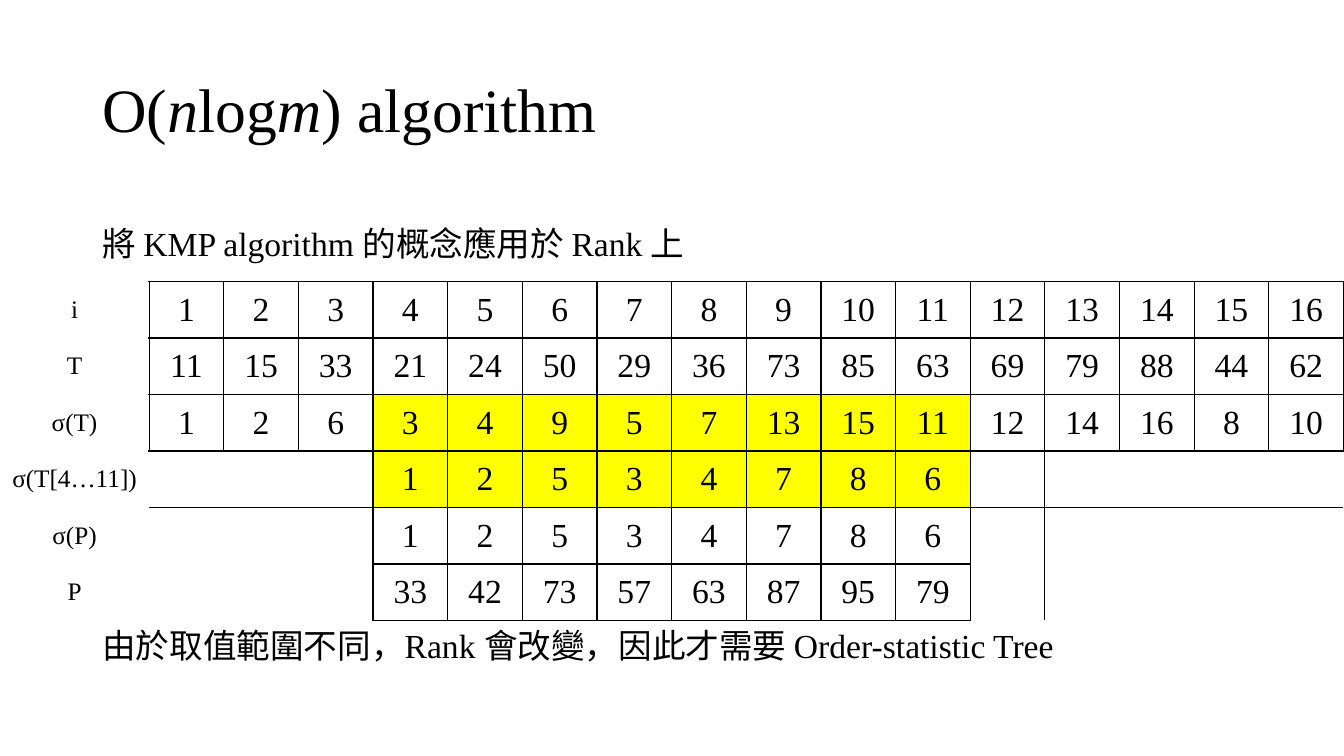
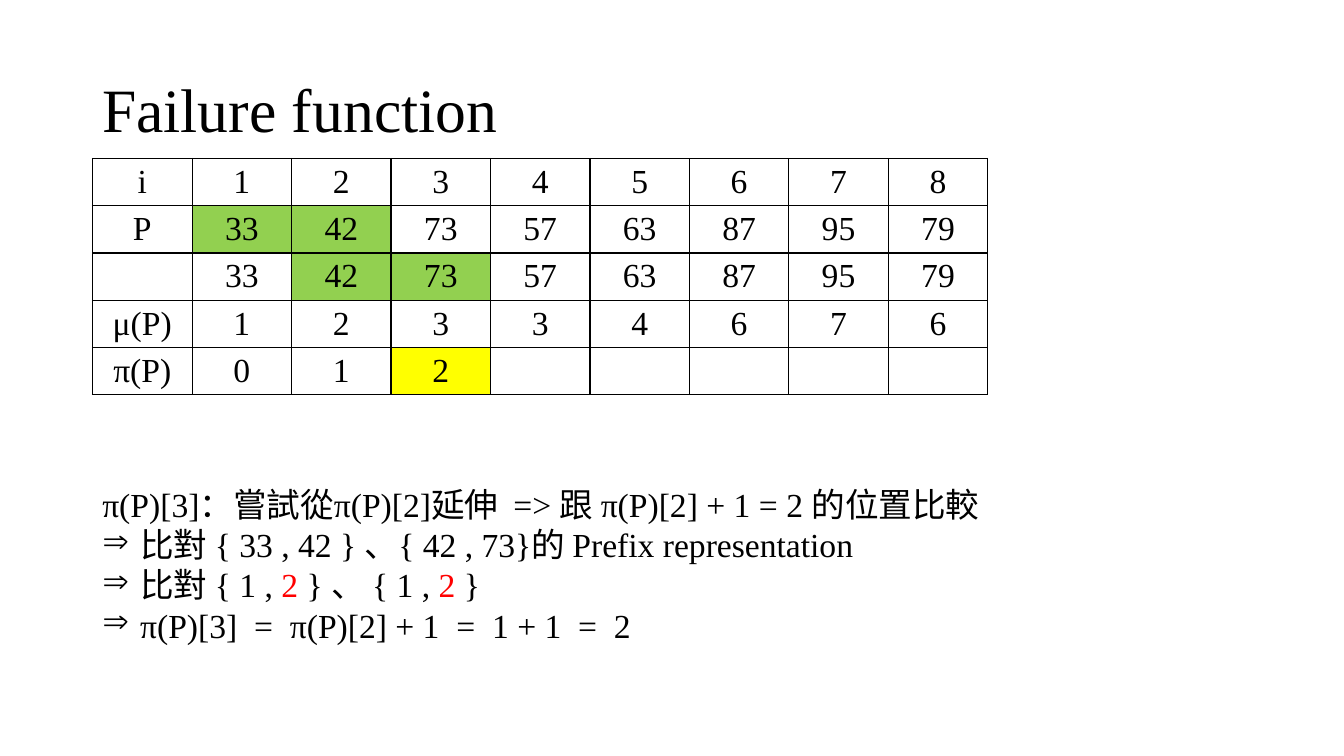
import dataclasses

import pptx
import pptx.dml.color
import pptx.enum.text
import pptx.oxml
import pptx.oxml.ns
import pptx.util

PX = 9525  # EMU in one px
PAGE_WIDTH, PAGE_HEIGHT = 1280, 720
NO_GRID_STYLE = "{2D5ABB26-0587-4C30-8999-92F81FD0307C}"


@dataclasses.dataclass(frozen=True)
class Theme:
    font: str = "Times New Roman"
    ink: str = "000000"
    accent: str = "FF0000"
    yellow: str = "FFFF00"
    green: str = "92D050"
    title_size: int = 44
    body_size: int = 24
    label_size: int = 18


theme = Theme()


def add_text(page, area, paragraphs, size=theme.body_size, middle=False, spacing=None, bullet_from=None):
    """Each paragraph is a list of (text, style); style is "", "italic" or "accent"."""
    box = page.shapes.add_textbox(*(n * PX for n in area))
    frame = box.text_frame
    frame.word_wrap = True
    if middle:
        frame.vertical_anchor = pptx.enum.text.MSO_ANCHOR.MIDDLE
    for index, spans in enumerate(paragraphs):
        para = frame.paragraphs[0] if index == 0 else frame.add_paragraph()
        if bullet_from is not None and index >= bullet_from:
            properties = para._p.get_or_add_pPr()
            properties.set("marL", str(36 * PX))
            properties.set("indent", str(-36 * PX))
            properties.append(pptx.oxml.parse_xml(
                f'<a:buChar {pptx.oxml.ns.nsdecls("a")} char="⇒"/>'))
        if spacing:
            para.line_spacing = spacing
        for text, style in spans:
            span = para.add_run()
            span.text = text
            span.font.name = theme.font
            span.font.size = pptx.util.Pt(size)
            color = theme.accent if style == "accent" else theme.ink
            span.font.color.rgb = pptx.dml.color.RGBColor.from_string(color)
            if style == "italic":
                span.font.italic = True


def add_grid(page, area, rows, label_width, label_size, boxed, fills):
    """Rows of values; boxed holds the outlined (row, column) cells, fills their colours."""
    left, top, width, height = (n * PX for n in area)
    row_count, column_count = len(rows), len(rows[0])
    frame = page.shapes.add_table(row_count, column_count, left, top, width, height)
    for style in frame._element.iter(pptx.oxml.ns.qn("a:tableStyleId")):
        style.text = NO_GRID_STYLE
    table = frame.table
    table.first_row = table.horz_banding = False
    for row in table.rows:
        row.height = height // row_count
    for index, column in enumerate(table.columns):
        column.width = (width - label_width * PX) // (column_count - 1) if index else label_width * PX

    for r, values in enumerate(rows):
        for c, value in enumerate(values):
            cell = table.cell(r, c)
            cell.margin_top = cell.margin_bottom = 3 * PX
            cell.vertical_anchor = pptx.enum.text.MSO_ANCHOR.MIDDLE
            cell.text = str(value)
            para = cell.text_frame.paragraphs[0]
            para.alignment = pptx.enum.text.PP_ALIGN.CENTER
            para.font.size = pptx.util.Pt(theme.body_size if c else label_size)
            for span in para.runs:
                span.font.name = theme.font
                span.font.size = para.font.size
                span.font.color.rgb = pptx.dml.color.RGBColor.from_string(theme.ink)
            if (r, c) in fills:
                cell.fill.solid()
                cell.fill.fore_color.rgb = pptx.dml.color.RGBColor.from_string(fills[r, c])
            else:
                cell.fill.background()
            # An edge is drawn when the cell on either side of it is boxed
            neighbours = {"lnL": (r, c - 1), "lnR": (r, c + 1), "lnT": (r - 1, c), "lnB": (r + 1, c)}
            edges = [edge for edge, other in neighbours.items() if (r, c) in boxed or other in boxed]
            for position, edge in enumerate(edges):
                cell._tc.get_or_add_tcPr().insert(position, pptx.oxml.parse_xml(
                    f'<a:{edge} {pptx.oxml.ns.nsdecls("a")} w="12700"><a:solidFill>'
                    f'<a:srgbClr val="{theme.ink}"/></a:solidFill></a:{edge}>'))


deck = pptx.Presentation()
deck.slide_width, deck.slide_height = PAGE_WIDTH * PX, PAGE_HEIGHT * PX

# Pages and titles
titles = [
    [("O(", ""), ("n", "italic"), ("log", ""), ("m", "italic"), (") algorithm", "")],
    [("Failure function", "")],
]
pages = []
for title in titles:
    page = deck.slides.add_slide(deck.slide_layouts[6])
    add_text(page, (88, 38, 1104, 139), [title], theme.title_size, middle=True, spacing=0.9)
    pages.append(page)
rank_page, failure_page = pages

# Rank page: sentences above and below the table
for top, sentence in [
    (212, "將 KMP algorithm 的概念應用於 Rank 上"),
    (595, "由於取值範圍不同，Rank 會改變，因此才需要 Order-statistic Tree"),
]:
    add_text(rank_page, (88, top, 1158, 45), [[(sentence, "")]], spacing=0.9)

# Rank page: text, pattern and their ranks; the window covers positions 4 to 11
pattern = [33, 42, 73, 57, 63, 87, 95, 79]
pattern_ranks = [1, 2, 5, 3, 4, 7, 8, 6]
before, after = [""] * 3, [""] * 5
rank_rows = [
    ["i", *range(1, 17)],
    ["T", 11, 15, 33, 21, 24, 50, 29, 36, 73, 85, 63, 69, 79, 88, 44, 62],
    ["σ(T)", 1, 2, 6, 3, 4, 9, 5, 7, 13, 15, 11, 12, 14, 16, 8, 10],
    ["σ(T[4…11])", *before, *pattern_ranks, *after],
    ["σ(P)", *before, *pattern_ranks, *after],
    ["P", *before, *pattern, *after],
]
rank_boxed = {(r, c) for r, row in enumerate(rank_rows) for c, value in enumerate(row) if c and value != ""}
window = {(r, c): theme.yellow for r in (2, 3) for c in range(4, 12)}
add_grid(rank_page, (0, 268, PAGE_WIDTH, 323), rank_rows, 142, theme.label_size, rank_boxed, window)

# Failure page: table with the compared pairs and the new value
failure_rows = [
    ["i", *range(1, 9)],
    ["P", *pattern],
    ["", *pattern],
    ["μ(P)", 1, 2, 3, 3, 4, 6, 7, 6],
    ["π(P)", 0, 1, 2, *after],
]
failure_boxed = {(r, c) for r, row in enumerate(failure_rows) for c in range(len(row))}
marked = {cell: theme.green for cell in [(1, 1), (1, 2), (2, 2), (2, 3)]}
marked[4, 3] = theme.yellow
add_grid(failure_page, (88, 151, 853, 225), failure_rows, 95, theme.body_size, failure_boxed, marked)

# Failure page: derivation steps
add_text(failure_page, (88, 456, 940, 165), [
    [("π(P)[3]：嘗試從π(P)[2]延伸  => 跟 π(P)[2] + 1 = 2 的位置比較", "")],
    [("比對 { 33 , 42 } 、{ 42 , 73}的 Prefix representation", "")],
    [("比對 { 1 , ", ""), ("2", "accent"), (" } 、 { 1 , ", ""), ("2 ", "accent"), ("}", "")],
    [("π(P)[3]  =  π(P)[2] + 1  =  1 + 1  =  2", "")],
], bullet_from=1)

deck.save("out.pptx")
